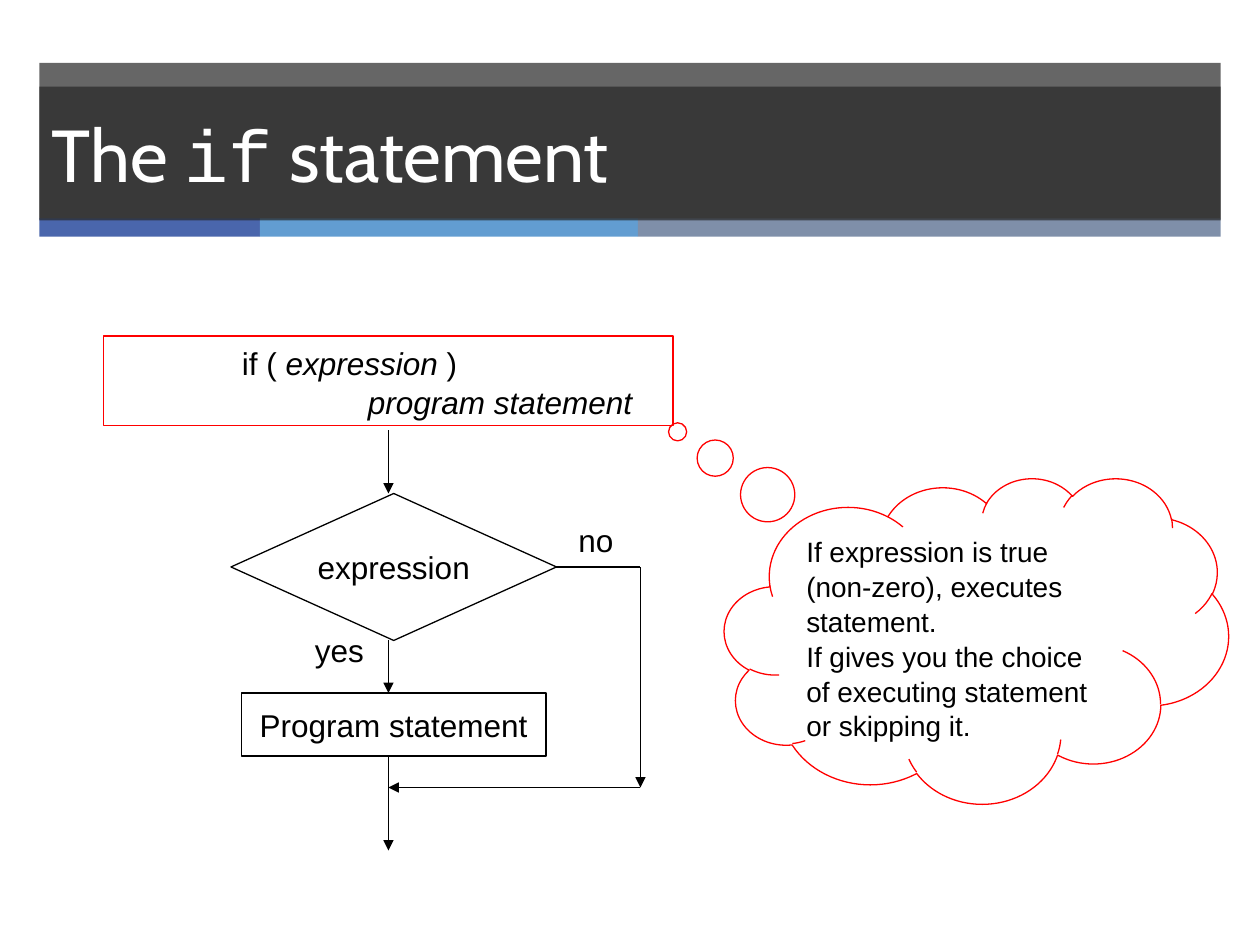
from dataclasses import dataclass

from lxml.etree import SubElement
from pptx import Presentation as Deck
from pptx.dml.color import RGBColor as Color
from pptx.enum.shapes import MSO_CONNECTOR as Link, MSO_SHAPE as Shape
from pptx.enum.text import MSO_ANCHOR as Anchor, PP_ALIGN as Align
from pptx.oxml.ns import qn
from pptx.util import Inches, Pt


@dataclass(frozen=True)
class Theme:
    """Colours, fonts and type sizes of the slide."""
    white: str = "FFFFFF"
    black: str = "000000"
    red: str = "FF0000"
    dark: str = "262626"
    strips: tuple = ("4A66AC", "629DD1", "7F8FA9")
    opacity: int = 70
    heading: str = "Cabin"
    body: str = "Arial"
    code: str = "Courier New"
    title_size: int = 42
    label_size: int = 18
    note_size: int = 16
    line_width: float = 0.75
    line_spacing: float = 1.04


THEME = Theme()
COLUMNS, ROWS = 120, 90
WIDTH, HEIGHT = Inches(10), Inches(7.5)


def across(columns):
    """Turn grid columns into a length."""
    return round(WIDTH * columns / COLUMNS)


def down(rows):
    """Turn grid rows into a length."""
    return round(HEIGHT * rows / ROWS)


def place(left, top, width, height):
    """Turn a grid area into slide lengths."""
    return across(left), down(top), across(width), down(height)


def write(box, paragraphs, size=THEME.label_size, font=THEME.body, color=THEME.black,
          align=Align.LEFT, anchor=Anchor.TOP, wrap=True, indents=(), spacing=None):
    """Write paragraphs of (text, font changes) spans into a box."""
    frame = box.text_frame
    frame.word_wrap = wrap
    frame.vertical_anchor = anchor
    for index, spans in enumerate(paragraphs):
        para = frame.paragraphs[0] if index == 0 else frame.add_paragraph()
        para.alignment = align
        para.line_spacing = spacing
        if indents:
            para._p.get_or_add_pPr().set("marL", str(Inches(indents[index])))
        for text, changes in spans:
            span = para.add_run()
            span.text = text
            span.font.size = Pt(size)
            span.font.color.rgb = Color.from_string(color)
            span.font.name = changes.get("font", font)
            span.font.italic = changes.get("italic", False)


def add_shape(page, kind, area, fill=None, line=None, opacity=None):
    """Add a preset shape with a plain fill and outline."""
    shape = page.shapes.add_shape(kind, *place(*area))
    shape.shadow.inherit = False
    if fill:
        shape.fill.solid()
        shape.fill.fore_color.rgb = Color.from_string(fill)
    else:
        shape.fill.background()
    if opacity:
        tint = shape.fill._xPr.find(qn("a:solidFill"))[0]
        SubElement(tint, qn("a:alpha")).set("val", str(opacity * 1000))
    if line:
        shape.line.color.rgb = Color.from_string(line)
        shape.line.width = Pt(THEME.line_width)
    else:
        shape.line.fill.background()
    return shape


def add_line(page, start, end, arrow=True):
    """Join two grid points, with an arrowhead at the end if wanted."""
    line = page.shapes.add_connector(Link.STRAIGHT, across(start[0]), down(start[1]),
                                     across(end[0]), down(end[1]))
    line.line.color.rgb = Color.from_string(THEME.black)
    line.line.width = Pt(THEME.line_width)
    if arrow:
        SubElement(line.line._get_or_add_ln(), qn("a:tailEnd")).set("type", "triangle")
    SubElement(line._element.spPr, qn("a:effectLst"))


def add_header(page):
    """Add the dark title band with its coloured strips."""
    left, width = 3.75, 112.5
    add_shape(page, Shape.RECTANGLE, (left, 6, width, 14.9), THEME.dark, opacity=THEME.opacity)
    strip_left = left
    for color, strip_width in zip(THEME.strips, (21, 36, 55.5)):
        add_shape(page, Shape.RECTANGLE, (strip_left, 20.8, strip_width, 1.75), color)
        strip_left += strip_width
    title = add_shape(page, Shape.RECTANGLE, (left, 8.25, width, 12.75), THEME.dark,
                      opacity=THEME.opacity)
    write(title, [[("The ", {}), ("if", {"font": THEME.code}), (" statement", {})]],
          size=THEME.title_size, font=THEME.heading, color=THEME.white, anchor=Anchor.MIDDLE)


def add_syntax(page):
    """Add the framed syntax of the statement."""
    box = add_shape(page, Shape.RECTANGLE, (9.85, 32, 54.25, 8.5), line=THEME.red)
    italic = {"italic": True}
    write(box, [[("if ( ", {}), ("expression ", italic), (")", {})],
                [("program statement", italic)]],
          indents=(1, 2), spacing=THEME.line_spacing)


def add_thought(page):
    """Add the cloud that explains the statement."""
    cloud = add_shape(page, Shape.CLOUD_CALLOUT, (69, 45.5, 48, 31), line=THEME.red)
    cloud.adjustments[0], cloud.adjustments[1] = -0.593, -0.641
    write(cloud, [[("If expression is true (non-zero), executes statement.", {})],
                  [("If gives you the choice of executing statement or skipping it.", {})]],
          size=THEME.note_size, spacing=THEME.line_spacing)


def add_flowchart(page):
    """Add the decision, the step, the branch labels and the arrows."""
    steps = ((Shape.FLOWCHART_PROCESS, (23, 66, 29, 6), "Program statement"),
             (Shape.FLOWCHART_DECISION, (22, 47, 31, 14), "expression"))
    for kind, area, text in steps:
        step = add_shape(page, kind, area, line=THEME.black)
        write(step, [[(text, {})]], align=Align.CENTER, anchor=Anchor.MIDDLE, wrap=False)
    for area, text in (((28.8, 59.5, 7.1, 4.8), "yes"), ((53.9, 49, 5.8, 4.8), "no")):
        write(page.shapes.add_textbox(*place(*area)), [[(text, {})]], wrap=False)
    trunk, branch, split, merge = 37, 61, 54, 75
    for top, bottom in ((41, 47), (61, 66), (72, 81)):
        add_line(page, (trunk, top), (trunk, bottom))
    add_line(page, (split - 1, split), (branch, split), arrow=False)
    add_line(page, (branch, split), (branch, merge))
    add_line(page, (branch, merge), (trunk, merge))


def main():
    """Build and save the slide."""
    deck = Deck()
    deck.slide_width, deck.slide_height = WIDTH, HEIGHT
    page = deck.slides.add_slide(deck.slide_layouts[6])
    for add_part in (add_header, add_syntax, add_thought, add_flowchart):
        add_part(page)
    deck.save("out.pptx")


if __name__ == "__main__":
    main()
